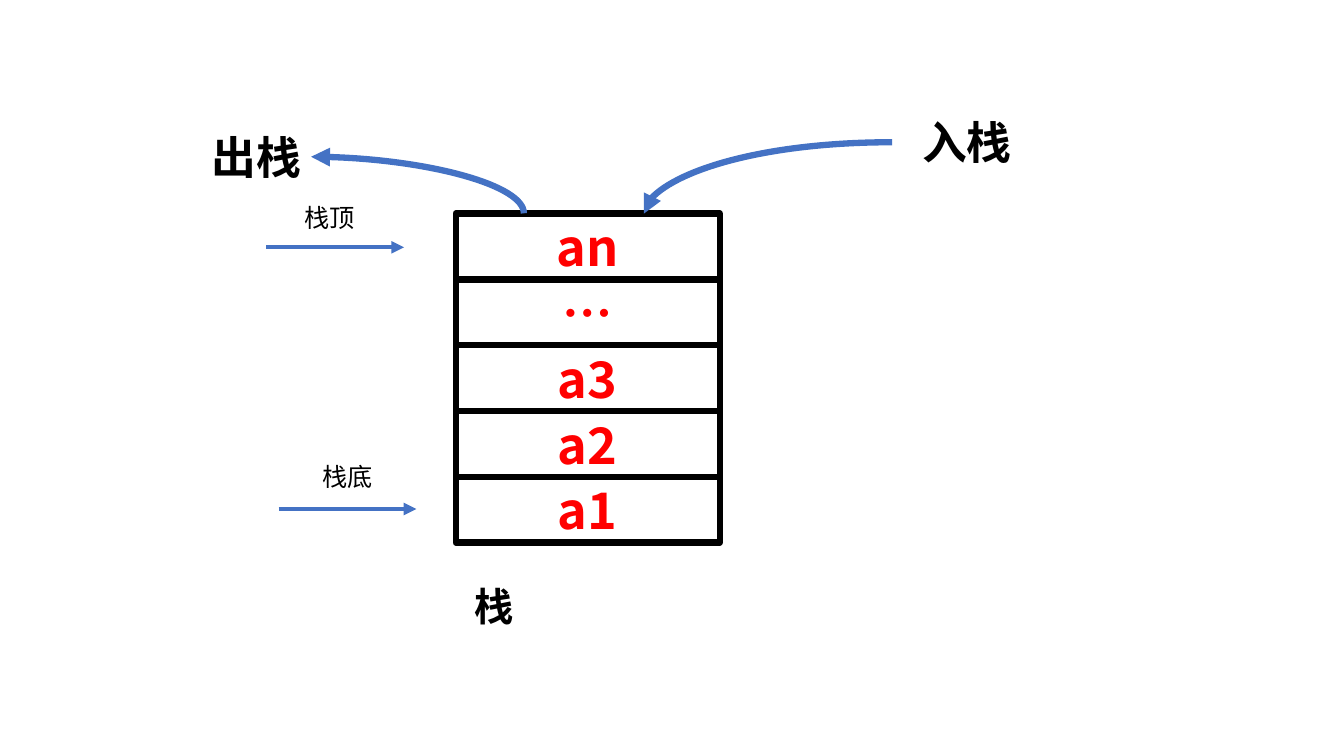
from lxml import etree
from pptx import Presentation
from pptx.dml.color import RGBColor
from pptx.enum.shapes import MSO_CONNECTOR, MSO_SHAPE
from pptx.enum.text import MSO_ANCHOR, MSO_AUTO_SIZE, PP_ALIGN
from pptx.oxml.ns import qn
from pptx.util import Pt

STRAIGHT, CURVE = MSO_CONNECTOR.STRAIGHT, MSO_CONNECTOR.CURVE
PROCESS = MSO_SHAPE.FLOWCHART_PROCESS
MIDDLE, CENTER = MSO_ANCHOR.MIDDLE, PP_ALIGN.CENTER
FIT_SHAPE = MSO_AUTO_SIZE.SHAPE_TO_FIT_TEXT

FONT = "Noto Sans CJK SC"
COLORS = {"ink": "000000", "item": "FF0000", "arrow": "4472C4"}

deck = Presentation()
deck.slide_width, deck.slide_height = Pt(960), Pt(540)
page = deck.slides.add_slide(deck.slide_layouts[6])


def add_text(box, text, size, color, bold):
    span = box.text_frame.paragraphs[0].add_run()
    span.text = text
    span.font.size = Pt(size)
    span.font.bold = bold
    span.font.name = FONT
    span.font.color.rgb = RGBColor.from_string(COLORS[color])
    properties = span.font._element
    etree.SubElement(properties, qn("a:ea")).set("typeface", FONT)


def add_arrow(kind, begin, end, width):
    arrow = page.shapes.add_connector(kind, *map(Pt, begin + end))
    arrow.line.color.rgb = RGBColor.from_string(COLORS["arrow"])
    arrow.line.width = Pt(width)
    etree.SubElement(arrow.line._get_or_add_ln(), qn("a:tailEnd")).set("type", "triangle")
    etree.SubElement(arrow._element.spPr, qn("a:effectLst"))
    return arrow


# Stack cells, top to bottom
CELL_LEFT, STACK_TOP, CELL_WIDTH, CELL_HEIGHT = 325.5, 152.6, 188.6, 47
for row, item in enumerate(["an", "…", "a3", "a2", "a1"]):
    cell = page.shapes.add_shape(PROCESS, Pt(CELL_LEFT), Pt(STACK_TOP + row * CELL_HEIGHT),
                                 Pt(CELL_WIDTH), Pt(CELL_HEIGHT))
    cell.shadow.inherit = False
    cell.fill.background()
    cell.line.color.rgb = RGBColor.from_string(COLORS["ink"])
    cell.line.width = Pt(4.5)
    cell.text_frame.vertical_anchor = MIDDLE
    cell.text_frame.paragraphs[0].alignment = CENTER
    add_text(cell, item, 36, "item", True)

# Push and pop arrows
push = add_arrow(CURVE, (637.2, 101.6), (460, STACK_TOP), 4.5)
pop = add_arrow(CURVE, (278, 208.2), (318.4, 56.2), 4.5)
pop._element.spPr.get_or_add_xfrm().set("rot", str(270 * 60000))
for arrow in (push, pop):
    arrow._element.spPr.find(qn("a:prstGeom")).set("prst", "curvedConnector2")

# Pointers to the top and the bottom of the stack
for left, middle in [(190.3, 176.7), (199.1, 363.6)]:
    add_arrow(STRAIGHT, (left, middle), (left + 98.3, middle), 3)

# Labels
labels = [
    ("栈", 331.9, 412.6, 42.5, 41.2, 28, True),
    ("入栈", 651.6, 78.5, 79.2, 46, 32, True),
    ("出栈", 144, 89.3, 79.2, 46, 32, True),
    ("栈底", 223.2, 326.2, 51, 29, 18, False),
    ("栈顶", 210.2, 141.1, 51, 29, 18, False),
]
for text, left, top, width, height, size, bold in labels:
    box = page.shapes.add_textbox(Pt(left), Pt(top), Pt(width), Pt(height))
    box.text_frame.word_wrap = False
    box.text_frame.auto_size = FIT_SHAPE
    add_text(box, text, size, "ink", bold)

deck.save("out.pptx")
